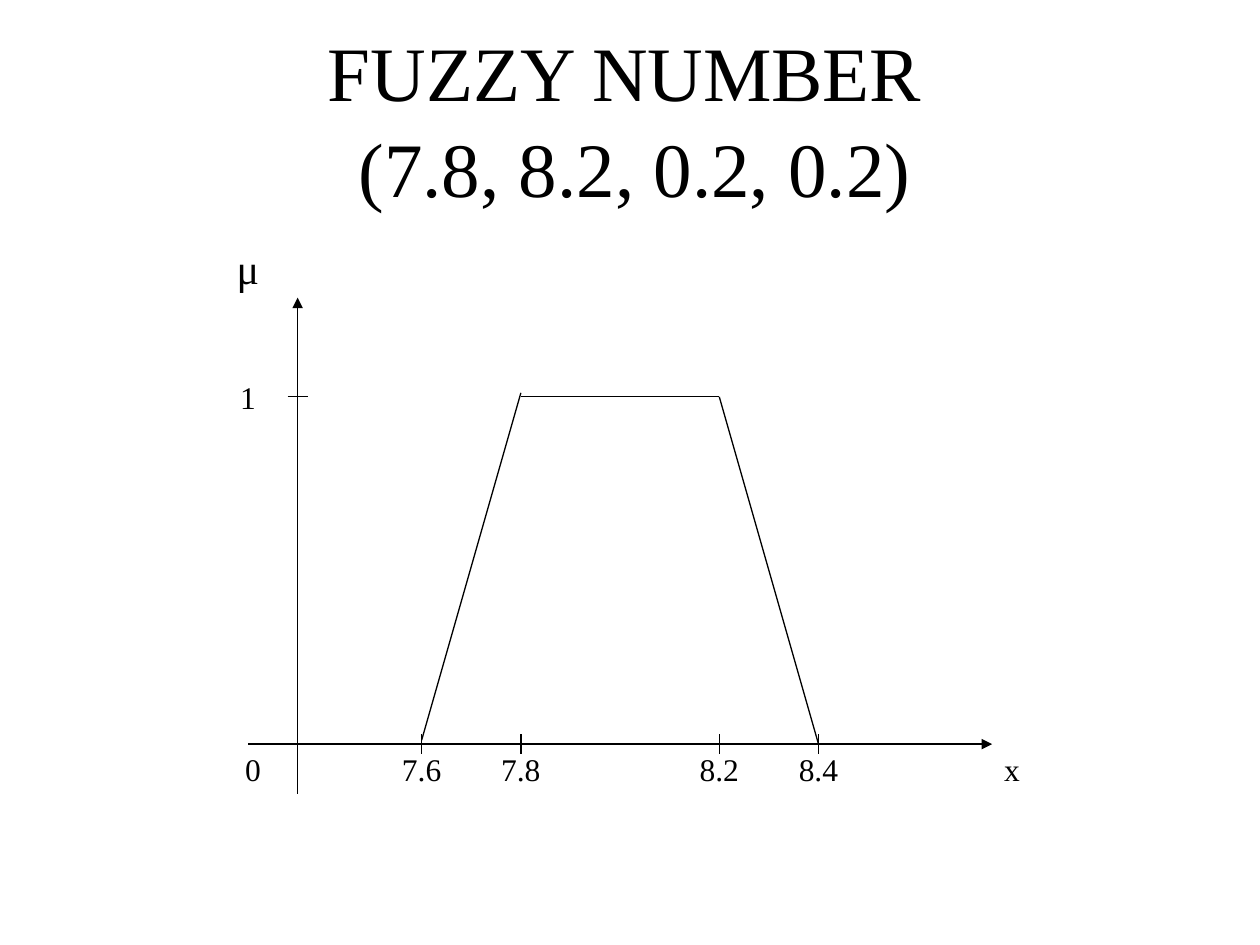
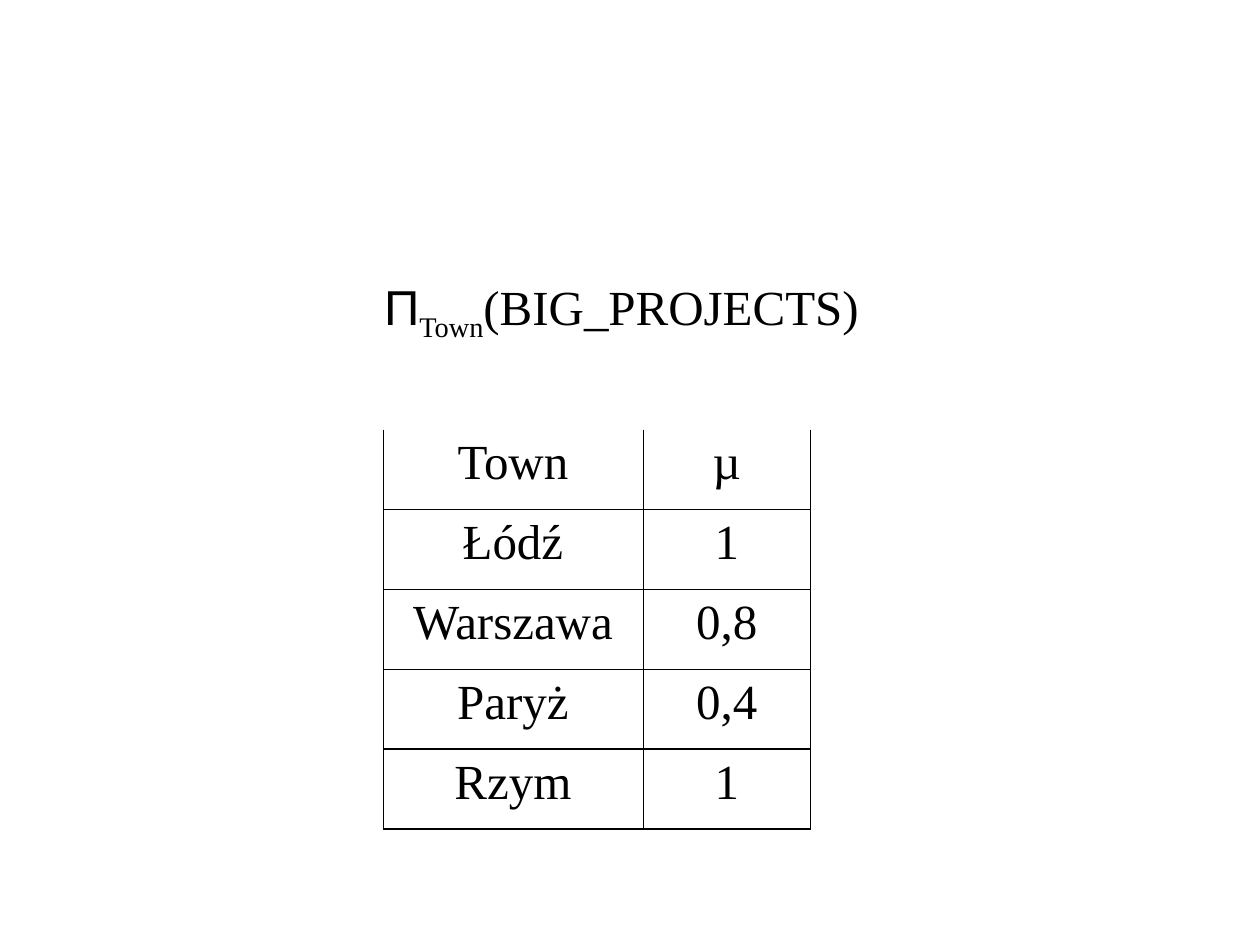
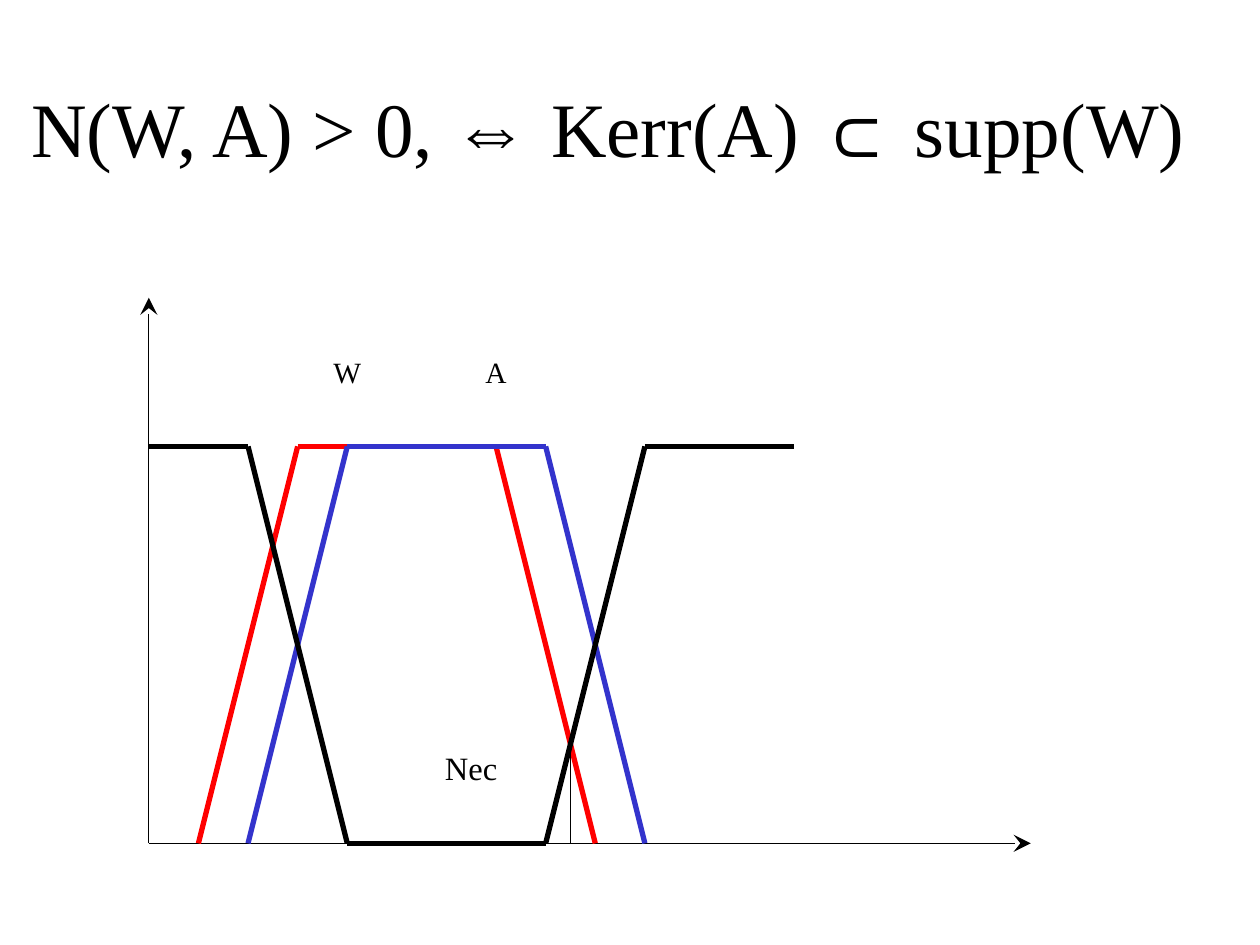
"""Build three slides on fuzzy numbers: a trapezoid, a projection table and a necessity graph."""
import pptx
import pptx.util
import pptx.dml.color
import pptx.enum.shapes
import pptx.enum.text
import pptx.oxml
import pptx.oxml.ns
from pptx.util import Cm, Pt

BLACK = pptx.dml.color.RGBColor(0x00, 0x00, 0x00)
RED = pptx.dml.color.RGBColor(0xFF, 0x00, 0x00)
BLUE = pptx.dml.color.RGBColor(0x33, 0x33, 0xCC)
SERIF, SANS = "Times New Roman", "Arial"
THIN, THICK = 0.75, 3
FINE, HEAVY = 0.45, 1.08
CENTER = pptx.enum.text.PP_ALIGN.CENTER
LEFT = pptx.enum.text.PP_ALIGN.LEFT
MIDDLE = pptx.enum.text.MSO_ANCHOR.MIDDLE
TOP = pptx.enum.text.MSO_ANCHOR.TOP

NUMBER = [("FUZZY NUMBER\v (7.8, 8.2, 0.2, 0.2)", SERIF)]
BASE, PEAK, TICK, SIDE = 15, 8, 0.2, 0.8
MARKS = [("7.6", 8.5), ("7.8", 10.5), ("8.2", 14.5), ("8.4", 16.5)]
SIGNS = [("0", 4.7, 15.1, SIDE, SIDE, 18), ("1", 4.6, 7.6, SIDE, SIDE, 18),
         ("x", 20, 15.1, SIDE, SIDE, 18), ("μ", 4.5, 4.8, 1, 1.2, 24)]
EDGES = [((8.5, 14.92), (10.5, 7.92)), ((10.5, PEAK), (14.5, PEAK)),
         ((14.5, PEAK), (16.5, BASE))]

HEAD = [("Π", SANS), ("Town", SERIF), ("(BIG_PROJECTS)", SERIF)]
TOWNS = [("Town", "µ"), ("Łódź", "1"), ("Warszawa", "0,8"), ("Paryż", "0,4"), ("Rzym", "1")]
COLS = [6.83, 5.24, 3.38, 7.82]
ROWS = [3.12] + [1.61] * len(TOWNS)
MERGES = [((0, 0), (0, 3)), ((1, 0), (2, 0)), ((1, 3), (2, 3)),
          ((3, 0), (5, 0)), ((3, 3), (5, 3))]

CLAIM = [("N(W, A) > 0, ", SERIF), ("⇔ ", SANS), ("Kerr(A) ", SERIF),
         ("⊂", SANS), (" supp(W)", SERIF)]
HIGH, LOW = 9, 17
CURVES = [(RED, [(4, LOW), (6, HIGH), (10, HIGH), (12, LOW)]),
          (BLUE, [(5, LOW), (7, HIGH), (11, HIGH), (13, LOW)]),
          (BLACK, [(3, HIGH), (5, HIGH), (7, LOW), (11, LOW), (13, HIGH), (16, HIGH)])]
NAMES = [("W", 6, 7, 2, 1, 16.8, CENTER), ("A", 9, 7, 2, 1, 16.8, CENTER),
         ("Nec", 8.72, 14.94, 2.48, 1.06, 18.6, LEFT)]


def style(para, parts, size, align=CENTER):
    """Write the parts into the paragraph, each in its own font."""
    para.alignment = align
    for text, face in parts:
        for step, piece in enumerate(text.split("\v")):
            if step:
                para.add_line_break()
            run = para.add_run()
            run.text = piece
            run.font.name = face
            run.font.size = Pt(size)
            run.font.color.rgb = BLACK


def write(slide, parts, place, size, align=CENTER, inset=(0, 0), anchor=MIDDLE, wrap=False):
    """Add a text box and return its paragraph."""
    frame = slide.shapes.add_textbox(*map(Cm, place)).text_frame
    frame.word_wrap = wrap
    frame.vertical_anchor = anchor
    frame.margin_left = frame.margin_right = Cm(inset[0])
    frame.margin_top = frame.margin_bottom = Cm(inset[1])
    style(frame.paragraphs[0], parts, size, align)
    return frame.paragraphs[0]


def title(slide, parts, place, anchor=MIDDLE):
    """Add the slide's large heading."""
    return write(slide, parts, place, 44, anchor=anchor, wrap=True)


def draw(slide, start, end, color=BLACK, width=THIN, head=None, scale="med"):
    """Draw a straight line, with an arrowhead at its end if one is named."""
    link = slide.shapes.add_connector(
        pptx.enum.shapes.MSO_CONNECTOR.STRAIGHT, *map(Cm, start + end))
    link.line.color.rgb = color
    link.line.width = Pt(width)
    if head:
        tip = pptx.oxml.parse_xml(
            f'<a:tailEnd {pptx.oxml.ns.nsdecls("a")} type="{head}" w="{scale}" len="{scale}"/>')
        link.line._get_or_add_ln().append(tip)
    link._element.spPr.append(
        pptx.oxml.parse_xml(f'<a:effectLst {pptx.oxml.ns.nsdecls("a")}/>'))


def rule(cell, row, col):
    """Clear the cell's fill and draw its four borders."""
    cell.fill.background()
    body, inner = row > 0, col in (1, 2)
    sides = [("lnL", body and col > 0, col == 3),
             ("lnR", body and col < 3, col == 2),
             ("lnT", row > 1 and inner, row > 4),
             ("lnB", body and inner, row > 3)]
    for spot, (tag, shown, heavy) in enumerate(sides):
        paint = f'<a:solidFill><a:srgbClr val="{BLACK}"/></a:solidFill>' if shown else "<a:noFill/>"
        width = Pt(HEAVY if heavy else FINE)
        cell._tc.get_or_add_tcPr().insert(spot, pptx.oxml.parse_xml(
            f'<a:{tag} {pptx.oxml.ns.nsdecls("a")} w="{width}">{paint}</a:{tag}>'))


def number(slide):
    """Draw the trapezoid of the fuzzy number."""
    title(slide, NUMBER, (1.07, 0.43, 23.06, 3.38), TOP).line_spacing = 1.04
    draw(slide, (6, 16), (6, 6), head="triangle")
    draw(slide, (5, BASE), (20, BASE), head="triangle")
    draw(slide, (6 - TICK, PEAK), (6 + TICK, PEAK))
    for start, end in EDGES:
        draw(slide, start, end)
    for text, x in MARKS:
        draw(slide, (x, BASE - TICK), (x, BASE + TICK))
        write(slide, [(text, SERIF)], (x - SIDE / 2, 15.1, SIDE, SIDE), 18)
    for text, *place, size in SIGNS:
        write(slide, [(text, SERIF)], place, size)


def towns(slide):
    """Fill the table of towns and their grades."""
    grid = slide.shapes.add_table(len(ROWS), len(COLS), Cm(0.89), Cm(5.54),
                                  Cm(sum(COLS)), Cm(sum(ROWS))).table
    grid.first_row = grid.horz_banding = False
    for col, width in enumerate(COLS):
        grid.columns[col].width = Cm(width)
    for row, height in enumerate(ROWS):
        grid.rows[row].height = Cm(height)
        for col in range(len(COLS)):
            rule(grid.cell(row, col), row, col)
    for first, last in MERGES:
        grid.cell(*first).merge(grid.cell(*last))
    head = grid.cell(0, 0).text_frame.paragraphs[0]
    style(head, HEAD, 28)
    head.runs[1]._r.get_or_add_rPr().set("baseline", "-24000")
    for row, pair in enumerate(TOWNS, 1):
        for col, text in enumerate(pair, 1):
            style(grid.cell(row, col).text_frame.paragraphs[0], [(text, SERIF)], 28)


def graph(slide):
    """Draw the curves that show the necessity degree."""
    title(slide, CLAIM, (0, 0.91, 24.51, 3.28))
    draw(slide, (3, LOW), (3, 6), head="stealth", scale="lg")
    draw(slide, (3, LOW), (20.78, LOW), head="stealth", scale="lg")
    for color, points in CURVES:
        for start, end in zip(points, points[1:]):
            draw(slide, start, end, color, THICK)
    draw(slide, (11.5, 15), (11.5, LOW))
    for text, *place, size, align in NAMES:
        write(slide, [(text, SERIF)], place, size, align, (0.25, 0.13))


def main():
    """Build and save the deck."""
    deck = pptx.Presentation()
    deck.slide_width, deck.slide_height = Cm(25.4), Cm(19.05)
    for build in (number, towns, graph):
        build(deck.slides.add_slide(deck.slide_layouts[6]))
    deck.save("out.pptx")


if __name__ == "__main__":
    main()
